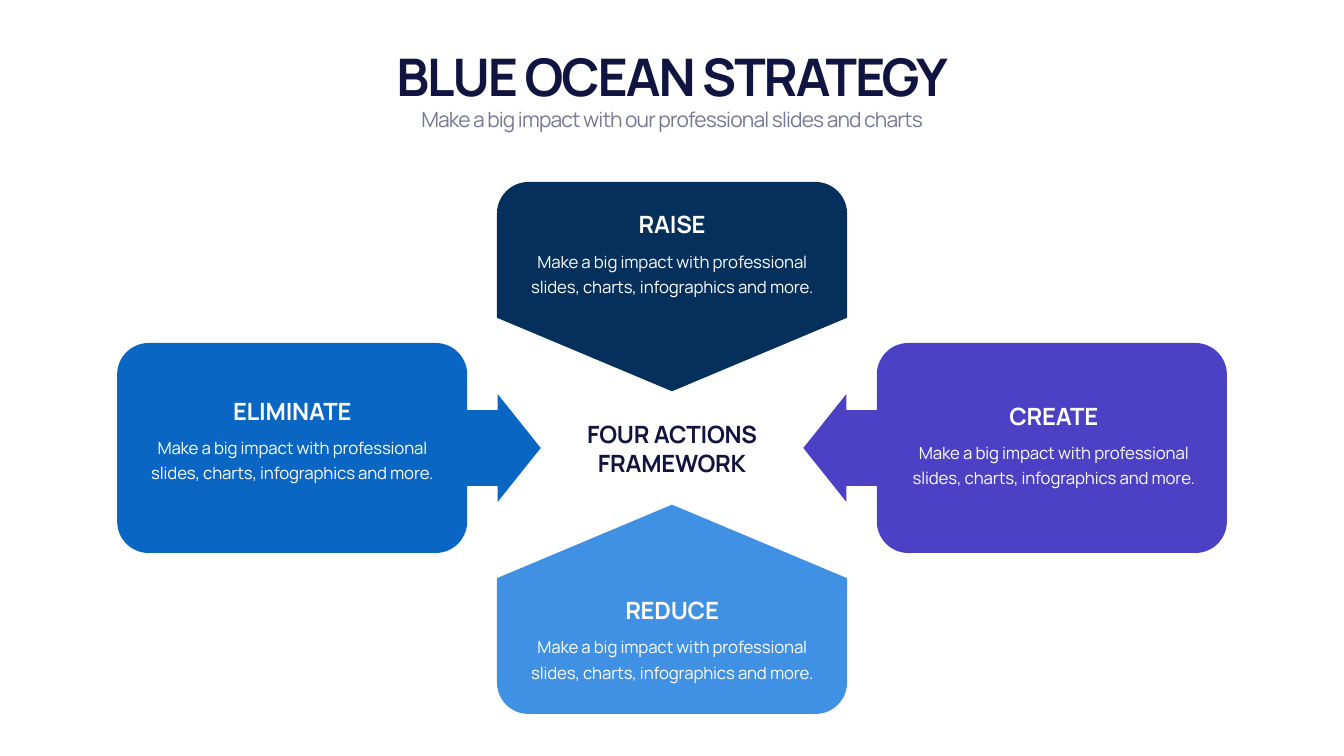
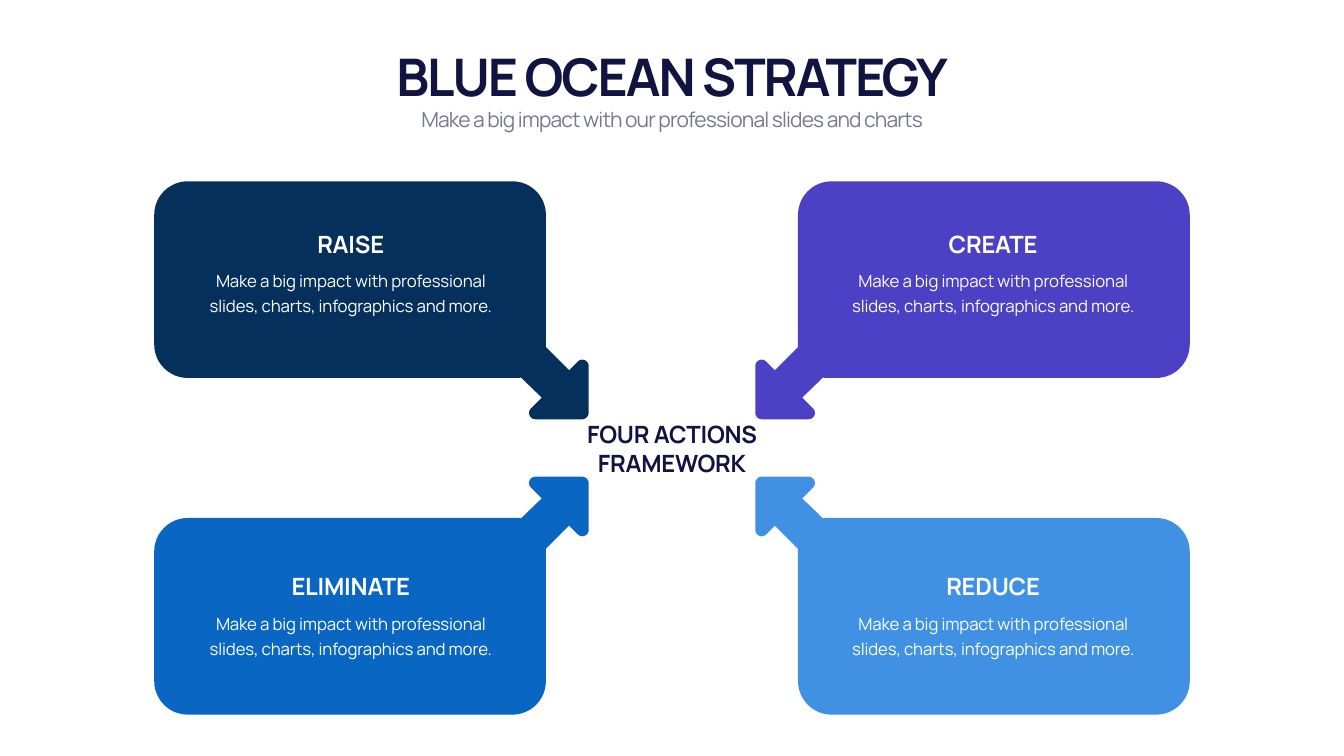
"""Build two Blue Ocean Strategy slides showing the four actions framework."""
from math import acos, dist, pi, tan

from lxml import etree
from pptx import Presentation
from pptx.dml.color import RGBColor
from pptx.enum.text import MSO_ANCHOR, MSO_AUTO_SIZE, PP_ALIGN
from pptx.oxml.ns import qn
from pptx.util import Pt

CENTER = PP_ALIGN.CENTER
TOP, MIDDLE, BOTTOM = MSO_ANCHOR.TOP, MSO_ANCHOR.MIDDLE, MSO_ANCHOR.BOTTOM
GROW = MSO_AUTO_SIZE.SHAPE_TO_FIT_TEXT

SLIDE_W, SLIDE_H = 1919.52, 1080
CENTER_X, CENTER_Y = SLIDE_W / 2, 640
FONT = "Manrope"
NAVY, GRAY, WHITE = "111340", "747994", "FFFFFF"
CURVE_STEPS = 12

TITLE = "BLUE OCEAN STRATEGY"
SUBTITLE = "Make a big impact with our professional slides and charts"
FRAMEWORK = "FOUR ACTIONS FRAMEWORK"
DETAIL = "Make a big impact with professional slides, charts, infographics and more."
ACTION_COLORS = {"RAISE": "06305C", "ELIMINATE": "0A66C3", "CREATE": "4C40C5", "REDUCE": "4091E3"}

# Outline corners are (x, y, rounding), measured from the framework center.
POINTED_CARD = [(-250, -380, 45), (250, -380, 45), (250, -186, 0), (0, -81, 0), (-250, -186, 0)]
ARROW_CARD = [
    (-792.5, -150, 45), (-292.5, -150, 45), (-292.5, -54, 0), (-249, -54, 0), (-249, -77, 0),
    (-187.5, 0, 0),
    (-249, 77, 0), (-249, 54, 0), (-292.5, 54, 0), (-292.5, 150, 45), (-792.5, 150, 45),
]
CORNER_ARROW_CARD = [
    (-739.5, -381, 48), (-180, -381, 48), (-180, -144, 0), (-147, -111, 0), (-119, -139, 22),
    (-119, -41, 9.5),
    (-217, -41, 22), (-186, -72, 0), (-216, -101, 0), (-217, -100, 0), (-739.5, -100, 48),
]

# Action: outline, horizontal flip, vertical flip, text center, heading top.
SLIDES = [
    {
        "REDUCE": (POINTED_CARD, 1, -1, 960, 847.5),
        "RAISE": (POINTED_CARD, 1, 1, 960, 296.5),
        "CREATE": (ARROW_CARD, -1, 1, 1505, 569.5),
        "ELIMINATE": (ARROW_CARD, 1, 1, 417.5, 562.5),
    },
    {
        "RAISE": (CORNER_ARROW_CARD, 1, 1, 501, 324),
        "CREATE": (CORNER_ARROW_CARD, -1, 1, 1418.5, 324),
        "REDUCE": (CORNER_ARROW_CARD, -1, -1, 1418.5, 813.5),
        "ELIMINATE": (CORNER_ARROW_CARD, 1, -1, 501, 813.5),
    },
]


def rgb(color):
    return RGBColor.from_string(color)


def toward(start, end, share):
    return tuple(a + (b - a) * share for a, b in zip(start, end))


def rounded_points(corners):
    points = []
    for i, (x, y, trim) in enumerate(corners):
        corner = (x, y)
        if not trim:
            points.append(corner)
            continue
        before, after = corners[i - 1][:2], corners[(i + 1) % len(corners)][:2]
        to_before, to_after = dist(corner, before), dist(corner, after)
        dot = sum((b - c) * (a - c) for b, c, a in zip(before, corner, after))
        turn = pi - acos(dot / (to_before * to_after))
        pull = 4 / 3 * tan(turn / 4) / tan(turn / 2)
        start = toward(corner, before, trim / to_before)
        end = toward(corner, after, trim / to_after)
        leave, arrive = toward(start, corner, pull), toward(end, corner, pull)
        for step in range(CURVE_STEPS + 1):
            t = step / CURVE_STEPS
            weights = ((1 - t) ** 3, 3 * t * (1 - t) ** 2, 3 * t * t * (1 - t), t ** 3)
            curve = zip(start, leave, arrive, end)
            points.append(tuple(sum(w * v for w, v in zip(weights, axis)) for axis in curve))
    return points


def add_card(slide, outline, flip_x, flip_y, color):
    points = [(Pt(CENTER_X + flip_x * x), Pt(CENTER_Y + flip_y * y))
              for x, y in rounded_points(outline)]
    builder = slide.shapes.build_freeform(*points[0])
    builder.add_line_segments(points[1:], close=True)
    card = builder.convert_to_shape()
    card.shadow.inherit = False
    card.fill.solid()
    card.fill.fore_color.rgb = rgb(color)
    card.line.fill.background()


def add_text(slide, text, center, top, width, height, *, size, color, bold=False,
             tracking=0, anchor=TOP, line_spacing=None):
    box = slide.shapes.add_textbox(Pt(center - width / 2), Pt(top), Pt(width), Pt(height))
    frame = box.text_frame
    frame.word_wrap = True
    frame.auto_size = GROW
    frame.vertical_anchor = anchor
    paragraph = frame.paragraphs[0]
    paragraph.alignment = CENTER
    if line_spacing:
        paragraph.line_spacing = Pt(line_spacing)
    run = paragraph.add_run()
    run.text = text
    run.font.name = FONT
    run.font.size = Pt(size)
    run.font.bold = bold
    run.font.color.rgb = rgb(color)
    properties = run._r.get_or_add_rPr()
    properties.set("spc", str(round(tracking * 100)))
    for script in ("a:ea", "a:cs"):
        etree.SubElement(properties, qn(script)).set("typeface", FONT)


def add_frame_texts(slide):
    add_text(slide, TITLE, CENTER_X, 59, 1680, 97, size=74, color=NAVY, bold=True,
             tracking=-2.9, anchor=BOTTOM)
    add_text(slide, SUBTITLE, CENTER_X, 149, 1680, 44, size=30, color=GRAY, tracking=-1.2)
    add_text(slide, FRAMEWORK, CENTER_X, 595.5, 269.5, 90, size=34, color=NAVY, bold=True,
             tracking=-0.3, anchor=MIDDLE)


def add_action_texts(slide, action, center, top):
    add_text(slide, action, center, top, 456.5, 48, size=34, color=WHITE, bold=True,
             tracking=-0.3, anchor=BOTTOM)
    add_text(slide, DETAIL, center, top + 52, 456.5, 78.5, size=24, color=WHITE,
             tracking=-0.2, line_spacing=36)


def main():
    deck = Presentation()
    deck.slide_width, deck.slide_height = Pt(SLIDE_W), Pt(SLIDE_H)
    for actions in SLIDES:
        slide = deck.slides.add_slide(deck.slide_layouts[6])
        for action, (outline, flip_x, flip_y, _, _) in actions.items():
            add_card(slide, outline, flip_x, flip_y, ACTION_COLORS[action])
        add_frame_texts(slide)
        for action, (_, _, _, center, top) in actions.items():
            add_action_texts(slide, action, center, top)
    deck.save("out.pptx")


if __name__ == "__main__":
    main()
